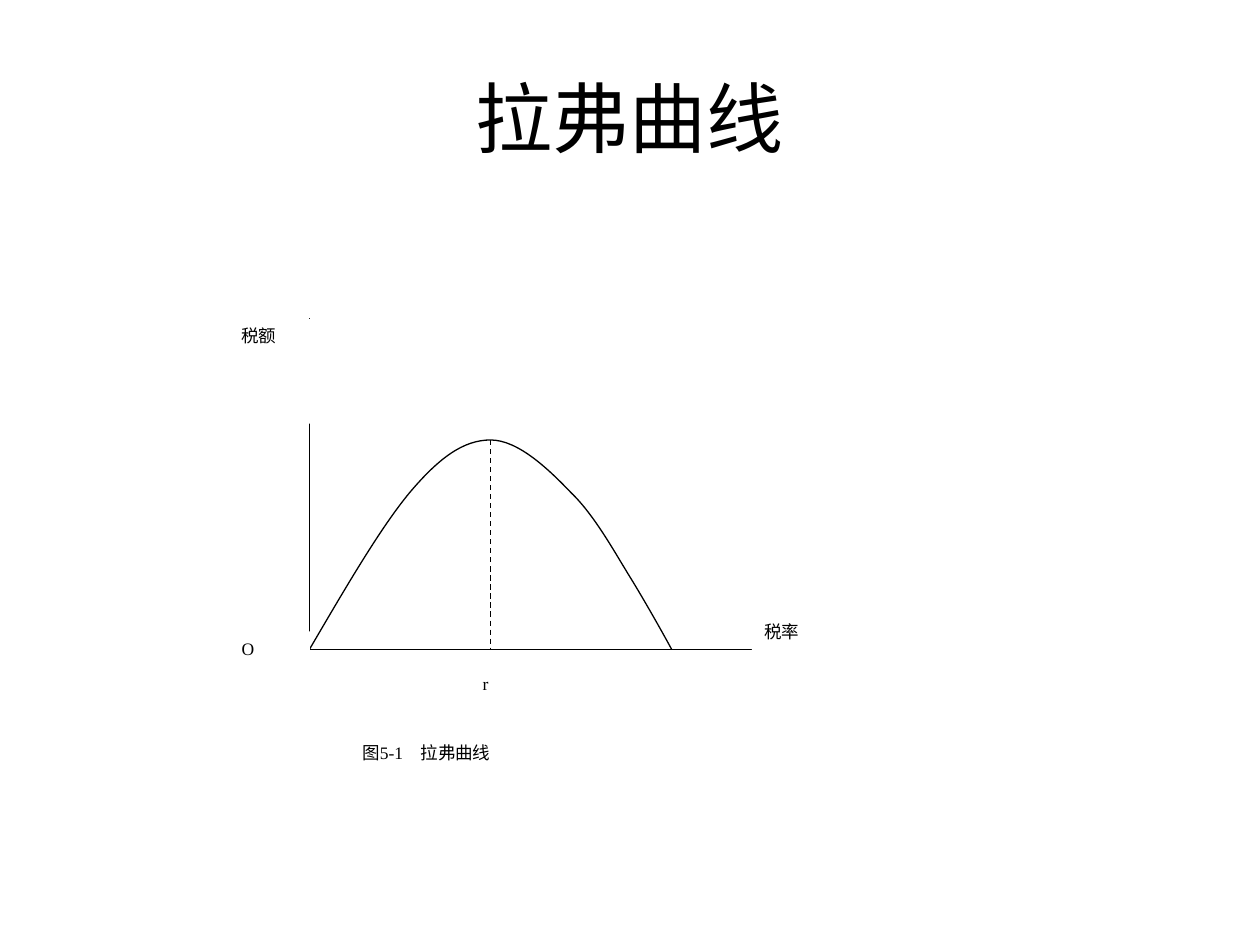
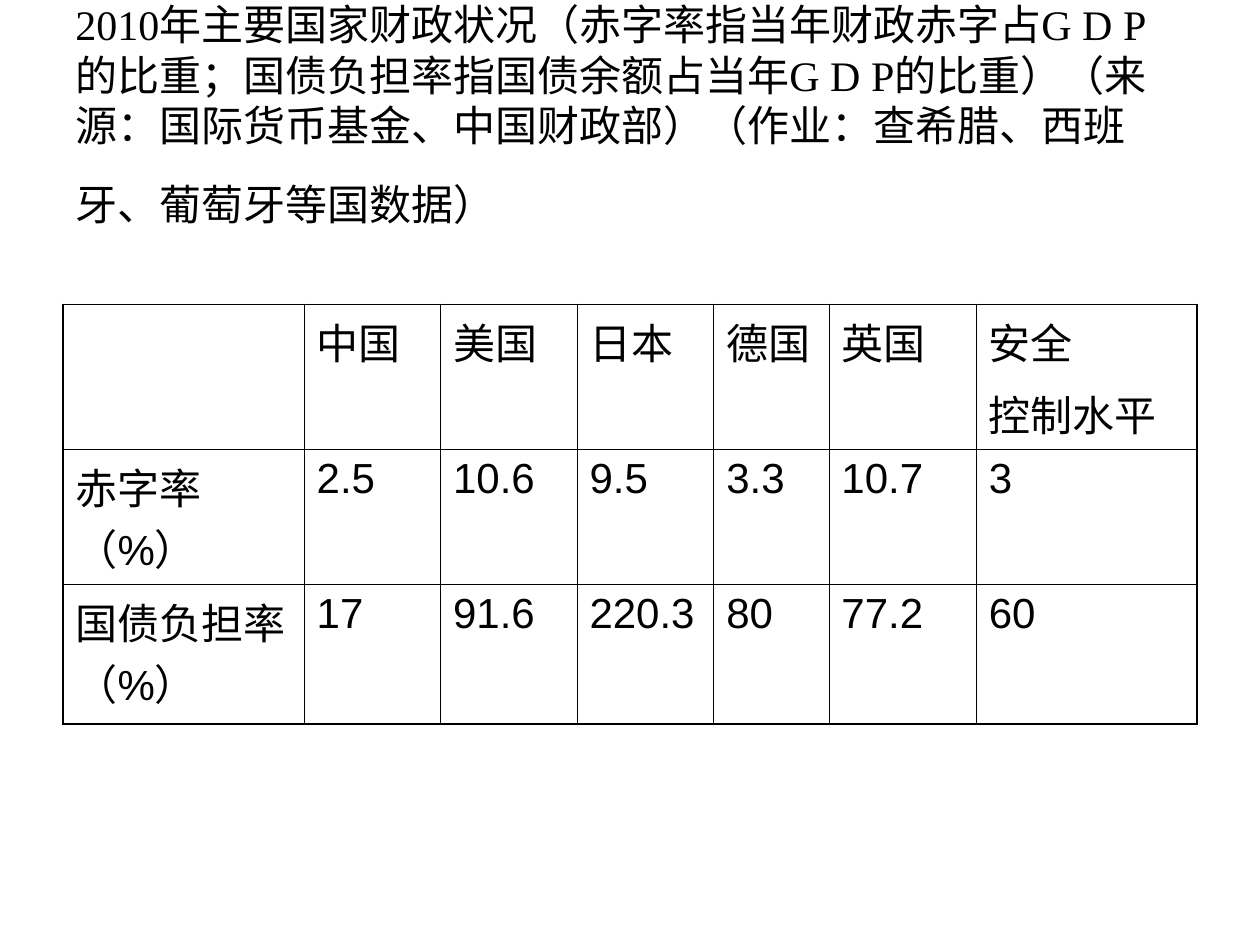
from lxml import etree
from pptx import Presentation
from pptx.dml.color import RGBColor
from pptx.enum.dml import MSO_LINE
from pptx.enum.shapes import MSO_CONNECTOR, MSO_SHAPE
from pptx.enum.text import MSO_ANCHOR, PP_ALIGN
from pptx.oxml.ns import qn
from pptx.util import Cm, Pt

BLACK = RGBColor(0, 0, 0)
WHITE = RGBColor(255, 255, 255)
SANS, SERIF = "Arial", "Times New Roman"
LEFT, CENTER, JUST = PP_ALIGN.LEFT, PP_ALIGN.CENTER, PP_ALIGN.JUSTIFY
TOP, MIDDLE = MSO_ANCHOR.TOP, MSO_ANCHOR.MIDDLE
RECT, STRAIGHT, DASH = MSO_SHAPE.RECTANGLE, MSO_CONNECTOR.STRAIGHT, MSO_LINE.DASH

# Key points of the graph, in cm
ORIGIN = (6.24, 13.09)
PEAK = (9.89, 8.87)
AXIS_TOP = (6.24, 6.42)
AXIS_END = (15.16, 13.09)
# Two control points and an end point for each part of the curve
CURVE = [
    (6.96, 11.86), (7.67, 10.64), (8.26, 9.93),
    (8.86, 9.22), (9.35, 8.87), PEAK,
    (10.44, 8.87), (11.05, 9.45), (11.51, 9.93),
    (11.99, 10.39), (12.4, 11.15), (12.73, 11.68),
    (13.06, 12.22), (13.41, 12.85), (13.54, 13.09),
]
LABELS = [
    ("税额", 4.62, 6.43, 1.63, 2.11),
    ("税率", 15.16, 12.4, 1.63, 2.11),
    ("O", 4.62, 12.73, 1.63, 1.04),
    ("图5-1　拉弗曲线", 7.06, 14.84, 6.88, 1.4),
]
R_LABEL = ("r", 9.48, 13.44, 1.63, 1.04)

HEADING = ("2010年主要国家财政状况（赤字率指当年财政赤字占G D P的比重；"
           "国债负担率指国债余额占当年G D P的比重）（来源：国际货币基金、中国财政部）"
           "（作业：查希腊、西班牙、葡萄牙等国数据）")
ROWS = [
    ["", "中国", "美国", "日本", "德国", "英国", "安全\n控制水平"],
    ["赤字率（%）", "2.5", "10.6", "9.5", "3.3", "10.7", "3"],
    ["国债负担率（%）", "17", "91.6", "220.3", "80", "77.2", "60"],
]
WIDTHS = [4.86, 2.75, 2.75, 2.76, 2.32, 2.97, 4.45]
HEIGHTS = [2.92, 2.72, 2.82]
THIN, THICK = Pt(0.45), Pt(1.08)


def style(para, size, face, align=LEFT):
    para.alignment = align
    para.font.size = Pt(size)
    para.font.name = face
    para.font.color.rgb = BLACK


def add_title(slide, text, size, face, align):
    box = slide.shapes.add_textbox(Cm(1.27), Cm(0.76), Cm(22.86), Cm(3.18))
    frame = box.text_frame
    frame.word_wrap = True
    frame.vertical_anchor = MIDDLE
    para = frame.paragraphs[0]
    para.text = text
    # Keep punctuation inside the right margin
    para._p.get_or_add_pPr().set("hangingPunct", "0")
    style(para, size, face, align)
    return para


def ink(line):
    line.color.rgb = BLACK
    line.width = Pt(0.75)


def add_line(shapes, start, end, dash=None):
    line = shapes.add_connector(STRAIGHT, *map(Cm, start + end))
    ink(line.line)
    if dash:
        line.line.dash_style = dash
    etree.SubElement(line._element.spPr, qn("a:effectLst"))


def add_curve(shapes, start, points):
    pen = shapes.build_freeform(Cm(start[0]), Cm(start[1]))
    pen.add_line_segments([(Cm(x), Cm(y)) for x, y in points], close=False)
    curve = pen.convert_to_shape()
    curve.shadow.inherit = False
    curve.fill.background()
    ink(curve.line)
    # Turn each three straight steps into one Bezier part
    steps = list(curve._element.iter(qn("a:lnTo")))
    for i in range(0, len(steps), 3):
        part = etree.Element(qn("a:cubicBezTo"))
        steps[i].addprevious(part)
        for step in steps[i:i + 3]:
            part.append(step[0])
            step.getparent().remove(step)


def add_label(shapes, text, *place):
    box = shapes.add_shape(RECT, *map(Cm, place))
    box.shadow.inherit = False
    box.fill.solid()
    box.fill.fore_color.rgb = WHITE
    box.line.fill.background()
    frame = box.text_frame
    frame.word_wrap = True
    frame.vertical_anchor = TOP
    frame.text = text
    style(frame.paragraphs[0], 10, SERIF, JUST)


def make_edge(side, width):
    edge = etree.Element(qn(f"a:ln{side}"), w=str(width))
    fill = etree.SubElement(edge, qn("a:solidFill"))
    etree.SubElement(fill, qn("a:srgbClr"), val=str(BLACK))
    return edge


def fill_cell(cell, text, widths):
    cell.fill.solid()
    cell.fill.fore_color.rgb = WHITE
    cell.text = text
    for i, para in enumerate(cell.text_frame.paragraphs):
        style(para, 24, SANS)
        if i:
            para.space_before = Pt(6)
    props = cell._tc.get_or_add_tcPr()
    for i, (side, width) in enumerate(zip("LRTB", widths)):
        props.insert(i, make_edge(side, width))


def add_grid(slide, rows):
    high, wide = len(rows), len(rows[0])
    frame = slide.shapes.add_table(high, wide, Cm(1.27), Cm(6.14),
                                   Cm(sum(WIDTHS)), Cm(sum(HEIGHTS)))
    table = frame.table
    table.first_row = table.horz_banding = False
    for col, width in zip(table.columns, WIDTHS):
        col.width = Cm(width)
    for row, height in zip(table.rows, HEIGHTS):
        row.height = Cm(height)
    for r, row in enumerate(rows):
        for c, text in enumerate(row):
            outer = (c == 0, c == wide - 1, r == 0, r == high - 1)
            fill_cell(table.cell(r, c), text, [THICK if o else THIN for o in outer])


def main():
    deck = Presentation()
    deck.slide_width, deck.slide_height = Cm(25.4), Cm(19.05)
    blank = deck.slide_layouts[6]

    # Laffer curve
    slide = deck.slides.add_slide(blank)
    add_title(slide, "拉弗曲线", 44, SANS, CENTER)
    graph = slide.shapes.add_group_shape().shapes
    add_line(graph, AXIS_TOP, ORIGIN)
    add_line(graph, ORIGIN, AXIS_END)
    add_curve(graph, ORIGIN, CURVE)
    for label in LABELS:
        add_label(graph, *label)
    add_line(graph, PEAK, (PEAK[0], ORIGIN[1]), DASH)
    add_label(graph, *R_LABEL)

    # Public finances by country
    slide = deck.slides.add_slide(blank)
    para = add_title(slide, HEADING, 24, SERIF, LEFT)
    tail = para.add_run()  # the larger space sets the height of the last line
    tail.text = " "
    tail.font.size = Pt(40)
    tail.font.name = SANS
    add_grid(slide, ROWS)

    deck.save("out.pptx")


if __name__ == "__main__":
    main()
